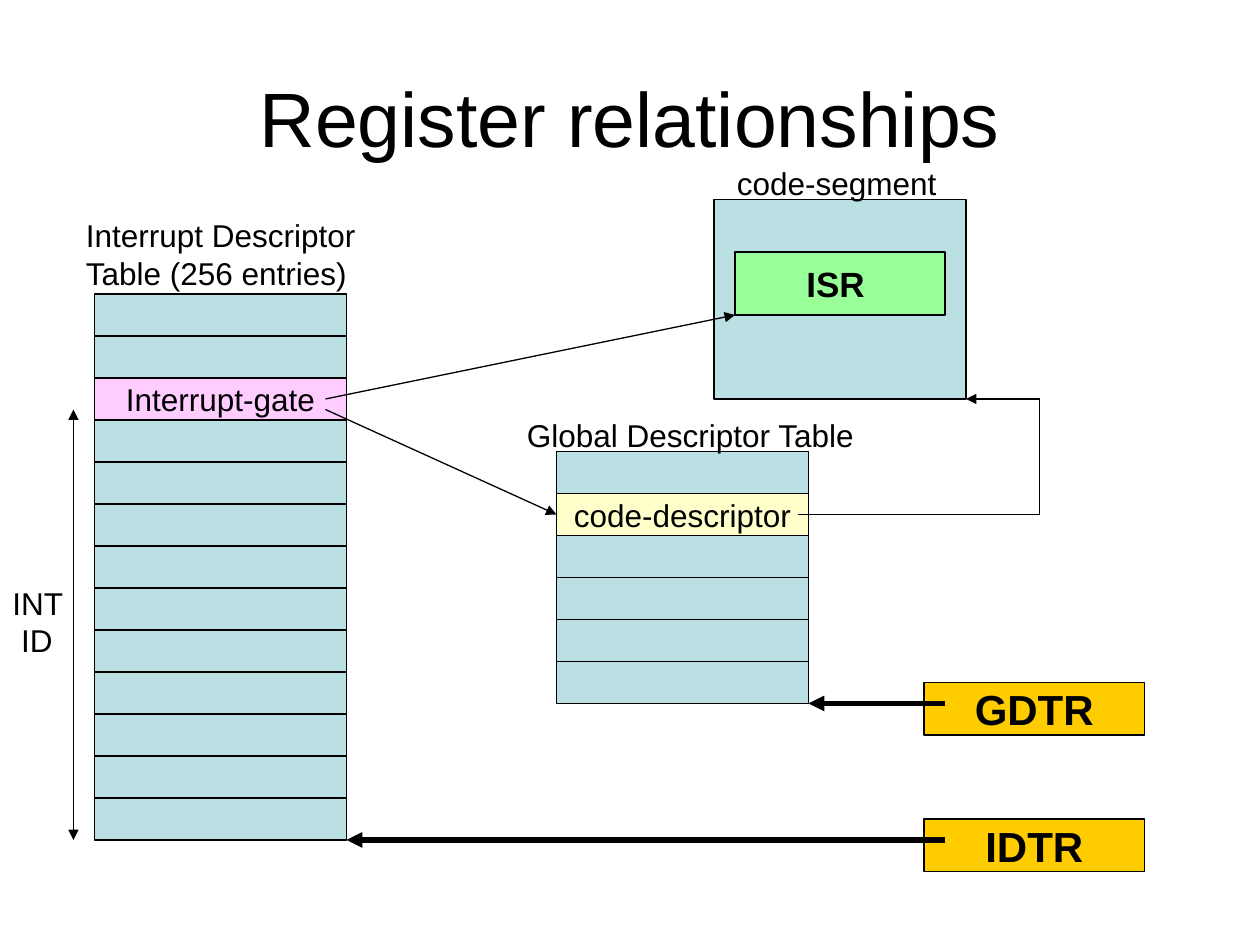
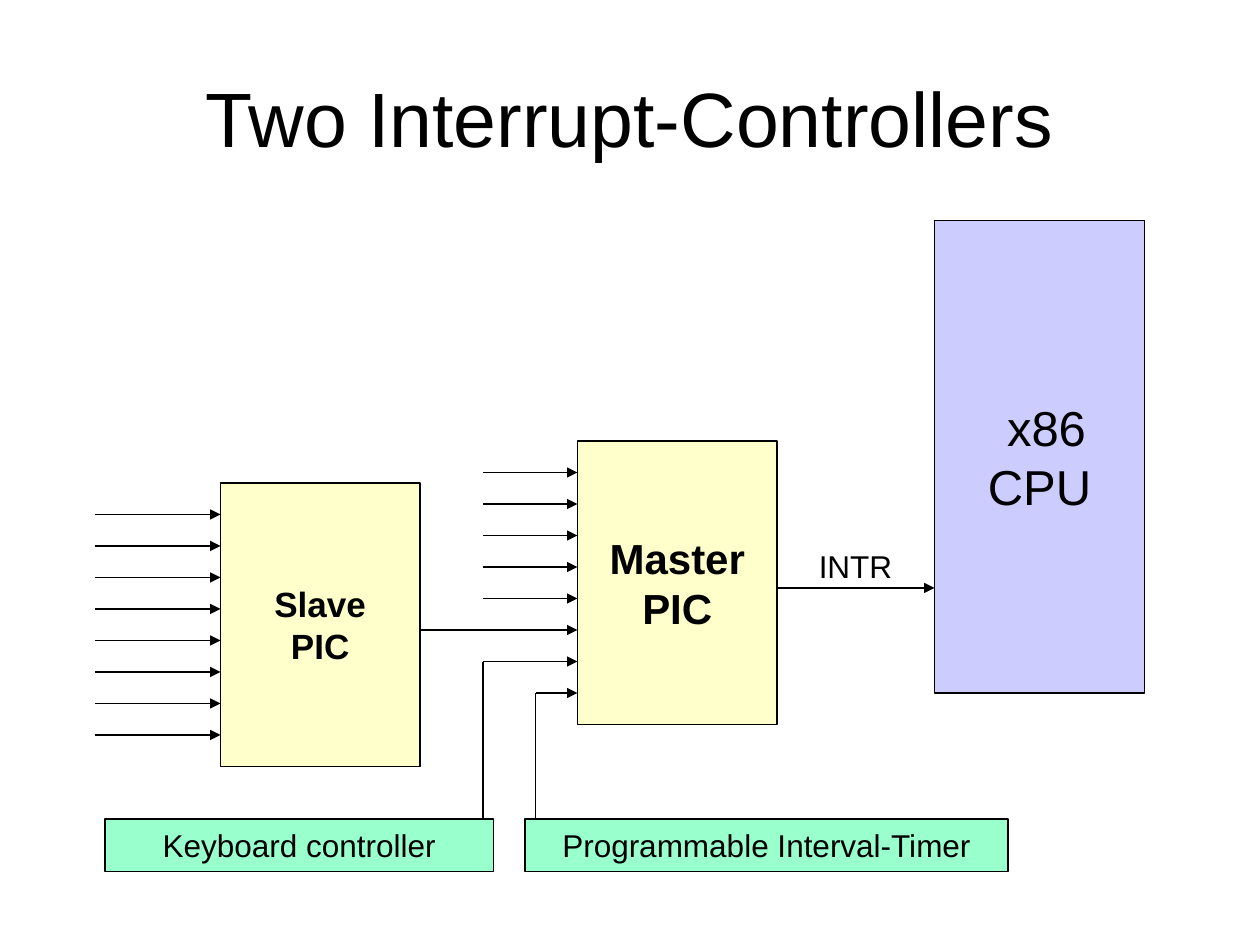
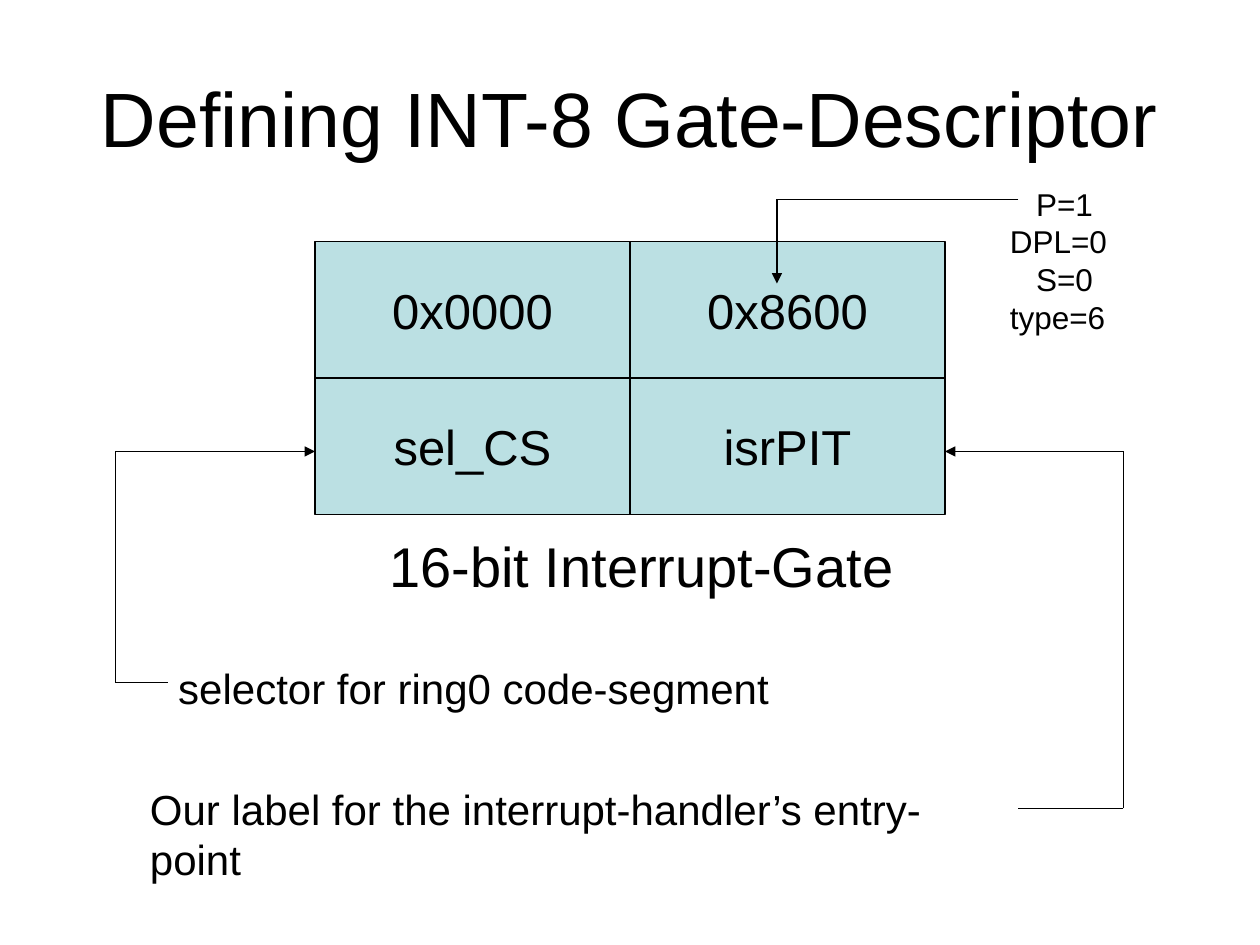
from lxml import etree
from pptx import Presentation
from pptx.dml.color import RGBColor as RGB
from pptx.enum.shapes import MSO_CONNECTOR as Link, MSO_SHAPE as Shape
from pptx.enum.text import MSO_ANCHOR as Anchor, PP_ALIGN as Align
from pptx.oxml.ns import qn
from pptx.util import Inches, Pt

# Places are in grid units: the slide is 120 units wide and 90 high.
COLS = 120
FONT = "Arial"
COLOURS = {
    "ink": "000000", "blue": "BBE0E3", "gold": "FFCC00", "pink": "FFCCFF",
    "cream": "FFFFCC", "green": "99FF99", "mint": "99FFCC", "lilac": "CCCCFF",
}
TITLE = (6, 3.6, 108, 15)


def stack(left, top, rows, mark, text, fill):
    """Boxes of one table, 24 by 4 units each, with one marked row."""
    return [(left, top + 4 * row, 24, 4, fill if row == mark else "blue",
             18, False, [text] if row == mark else [])
            for row in range(rows)]


# A text line is a string, or (string, left indent, right indent) in points.
# Box: left, top, width, height, fill, size, bold, lines
# Wire: points, width, arrow ends
# Label: left, top, width, height, size, lines
SLIDES = [
    {
        "title": "Register relationships",
        "boxes": [
            (88, 65, 21, 5, "gold", 24, True, ["GDTR"]),
            (88, 78, 21, 5, "gold", 24, True, ["IDTR"]),
            *stack(9, 28, 13, 2, "Interrupt-gate", "pink"),
            *stack(53, 43, 6, 1, "code-descriptor", "cream"),
            (68, 19, 24, 19, "blue", 18, False, []),
            (70, 24, 20, 6, "green", 20, True, [("ISR", 0, 5)]),
        ],
        "wires": [
            ([(90, 67), (77, 67)], 3, "tail"),
            ([(90, 80), (33, 80)], 3, "tail"),
            ([(31, 38), (70, 30)], 0.75, "tail"),
            ([(31, 39), (53, 49)], 0.75, "tail"),
            ([(76, 49), (99, 49), (99, 38), (92, 38)], 0.75, "tail"),
            ([(7, 39), (7, 80)], 0.75, "both"),
        ],
        "labels": [
            (7, 20, 28.5, 8.4, 18,
             ["Interrupt Descriptor", "Table (256 entries)"]),
            (69, 15, 22, 4.8, 18, ["code-segment"]),
            (49, 39, 34.5, 4.8, 18, ["Global Descriptor Table"]),
            (0, 55, 7.5, 8.4, 18, ["INT", ("ID", 5, 0)]),
        ],
    },
    {
        "title": "Two Interrupt-Controllers",
        "boxes": [
            (89, 21, 20, 45, "lilac", 28, False, [("x86", 8, 0), "CPU"]),
            (55, 42, 19, 27, "cream", 24, True, ["Master", "PIC"]),
            (21, 46, 19, 27, "cream", 20, True, ["Slave", "PIC"]),
            (50, 78, 46, 5, "mint", 18, False, ["Programmable Interval-Timer"]),
            (10, 78, 37, 5, "mint", 18, False, ["Keyboard controller"]),
        ],
        "wires": [
            *[([(9, y), (21, y)], 0.75, "tail") for y in range(49, 73, 3)],
            *[([(46, y), (55, y)], 0.75, "tail") for y in range(45, 60, 3)],
            ([(40, 60), (55, 60)], 0.75, "tail"),
            ([(46, 78), (46, 63), (55, 63)], 0.75, "tail"),
            ([(51, 78), (51, 66), (55, 66)], 0.75, "tail"),
            ([(74, 56), (89, 56)], 0.75, "tail"),
        ],
        "labels": [(76.8, 51.5, 9.8, 4.8, 18, ["INTR"])],
    },
    {
        "title": "Defining INT-8 Gate-Descriptor",
        "boxes": [
            (30 + 30 * col, 23 + 13 * row, 30, 13, "blue", 28, False, [text])
            for row, pair in enumerate([("0x0000", "0x8600"),
                                        ("sel_CS", "isrPIT")])
            for col, text in enumerate(pair)
        ],
        "wires": [
            ([(16, 65), (11, 65), (11, 43), (30, 43)], 0.75, "tail"),
            ([(97, 77), (107, 77), (107, 43), (90, 43)], 0.75, "tail"),
            ([(97, 19), (74, 19), (74, 27)], 0.75, "tail"),
        ],
        "labels": [
            (35.9, 50, 52, 7.7, 32, ["16-bit Interrupt-Gate"]),
            (15.8, 62.5, 60, 6, 24, ["selector for ring0 code-segment"]),
            (13.1, 74, 84.4, 6, 24,
             ["Our label for the interrupt-handler’s entry-point"]),
            (95, 17, 12.5, 15.6, 18,
             [("P=1", 15, 0), "DPL=0", ("S=0", 15, 0), "type=6"]),
        ],
    },
]

deck = Presentation()
deck.slide_width, deck.slide_height = Inches(10), Inches(7.5)
UNIT = deck.slide_width / COLS


def grid(*places):
    return [round(place * UNIT) for place in places]


def tint(name):
    return RGB.from_string(COLOURS[name])


def write(frame, lines, size, bold=False, align=Align.LEFT,
          anchor=Anchor.TOP):
    frame.word_wrap = True
    frame.vertical_anchor = anchor
    for i, line in enumerate(lines):
        text, left, right = (line, 0, 0) if isinstance(line, str) else line
        para = frame.paragraphs[0] if i == 0 else frame.add_paragraph()
        para.text = text
        para.alignment = align
        font = para.font
        font.name, font.size, font.bold = FONT, Pt(size), bold
        font.color.rgb = tint("ink")
        props = para._p.get_or_add_pPr()
        for side, gap in (("marL", left), ("marR", right)):
            if gap:
                props.set(side, str(Pt(gap)))


def box(slide, left, top, width, height, fill, size, bold, lines):
    shape = slide.shapes.add_shape(Shape.RECTANGLE,
                                   *grid(left, top, width, height))
    shape.shadow.inherit = False
    shape.fill.solid()
    shape.fill.fore_color.rgb = tint(fill)
    shape.line.color.rgb = tint("ink")
    shape.line.width = Pt(0.75)
    write(shape.text_frame, lines, size, bold, Align.CENTER, Anchor.MIDDLE)


def wire(slide, points, width, ends):
    """Straight runs through the points, with arrowheads at the outer ends."""
    last = len(points) - 2
    for i, (start, stop) in enumerate(zip(points, points[1:])):
        run = slide.shapes.add_connector(Link.STRAIGHT, *grid(*start, *stop))
        run.line.color.rgb = tint("ink")
        run.line.width = Pt(width)
        pen = run.line._get_or_add_ln()
        if i == 0 and ends == "both":
            etree.SubElement(pen, qn("a:headEnd"), type="triangle")
        if i == last:
            etree.SubElement(pen, qn("a:tailEnd"), type="triangle")
        etree.SubElement(run._element.spPr, qn("a:effectLst"))


def label(slide, left, top, width, height, size, lines):
    area = slide.shapes.add_textbox(*grid(left, top, width, height))
    write(area.text_frame, lines, size)


def build(page):
    slide = deck.slides.add_slide(deck.slide_layouts[6])
    head = slide.shapes.add_textbox(*grid(*TITLE))
    write(head.text_frame, [page["title"]], 44, False,
          Align.CENTER, Anchor.MIDDLE)
    for kind, draw in (("boxes", box), ("wires", wire), ("labels", label)):
        for part in page[kind]:
            draw(slide, *part)


for page in SLIDES:
    build(page)
deck.save("out.pptx")
